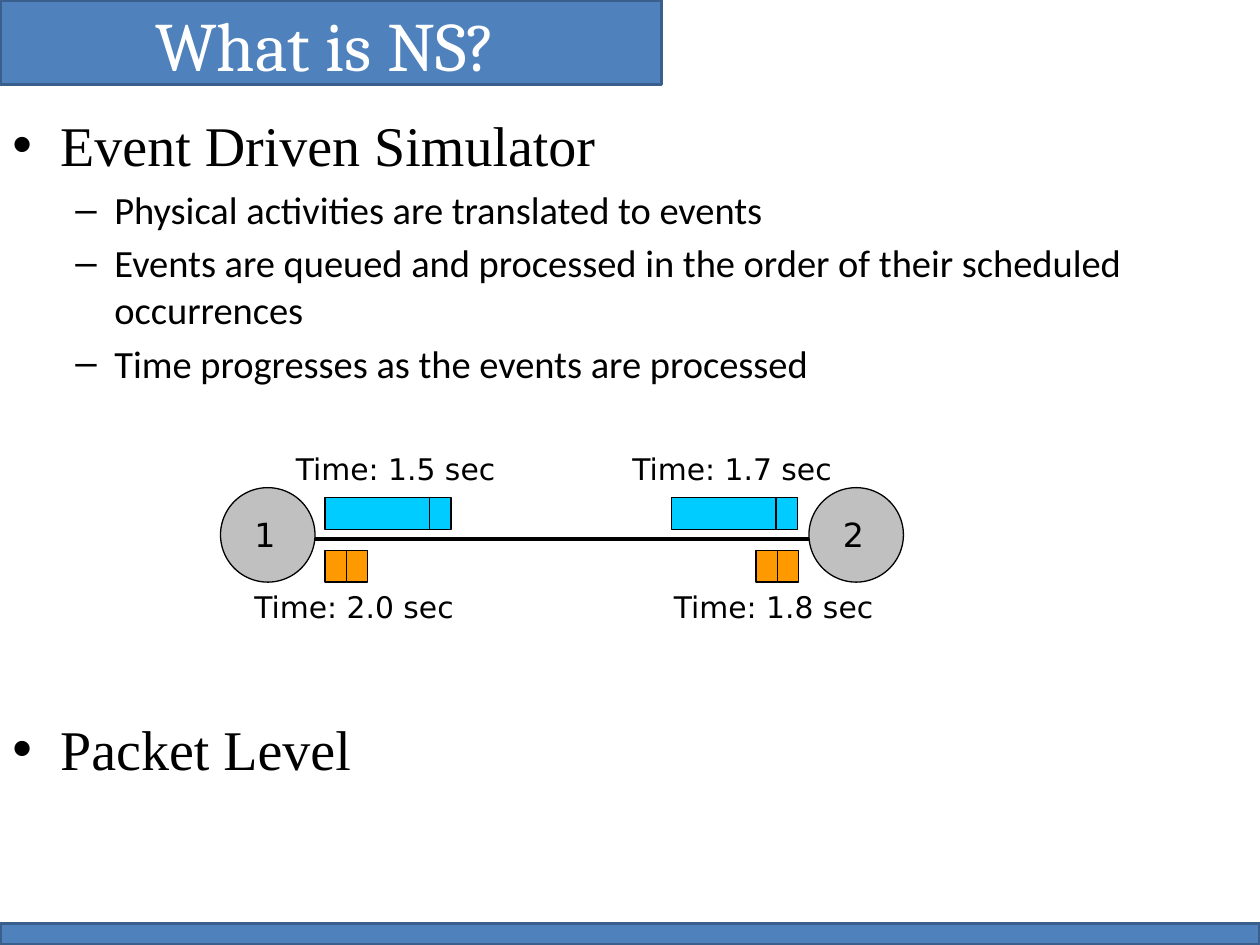
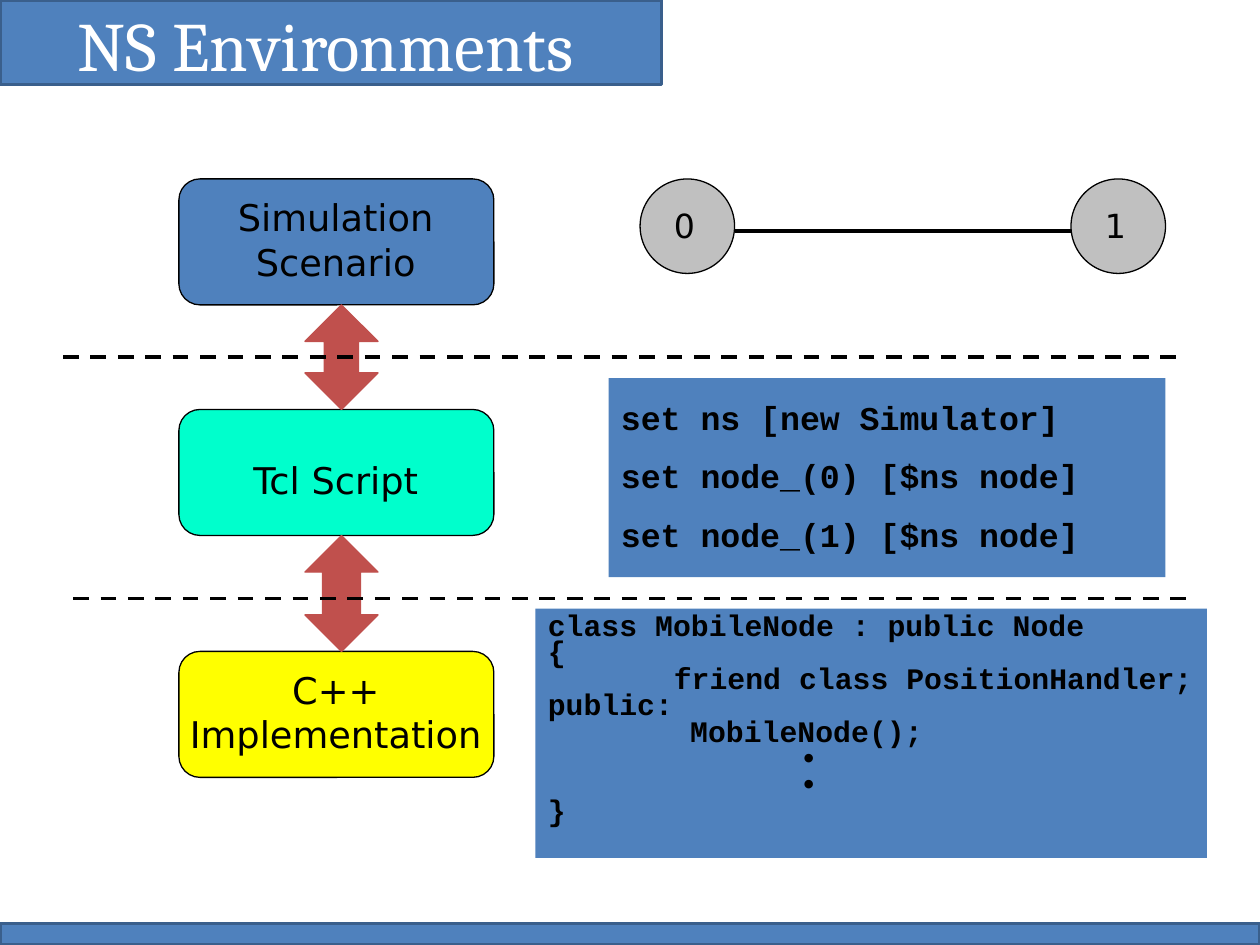
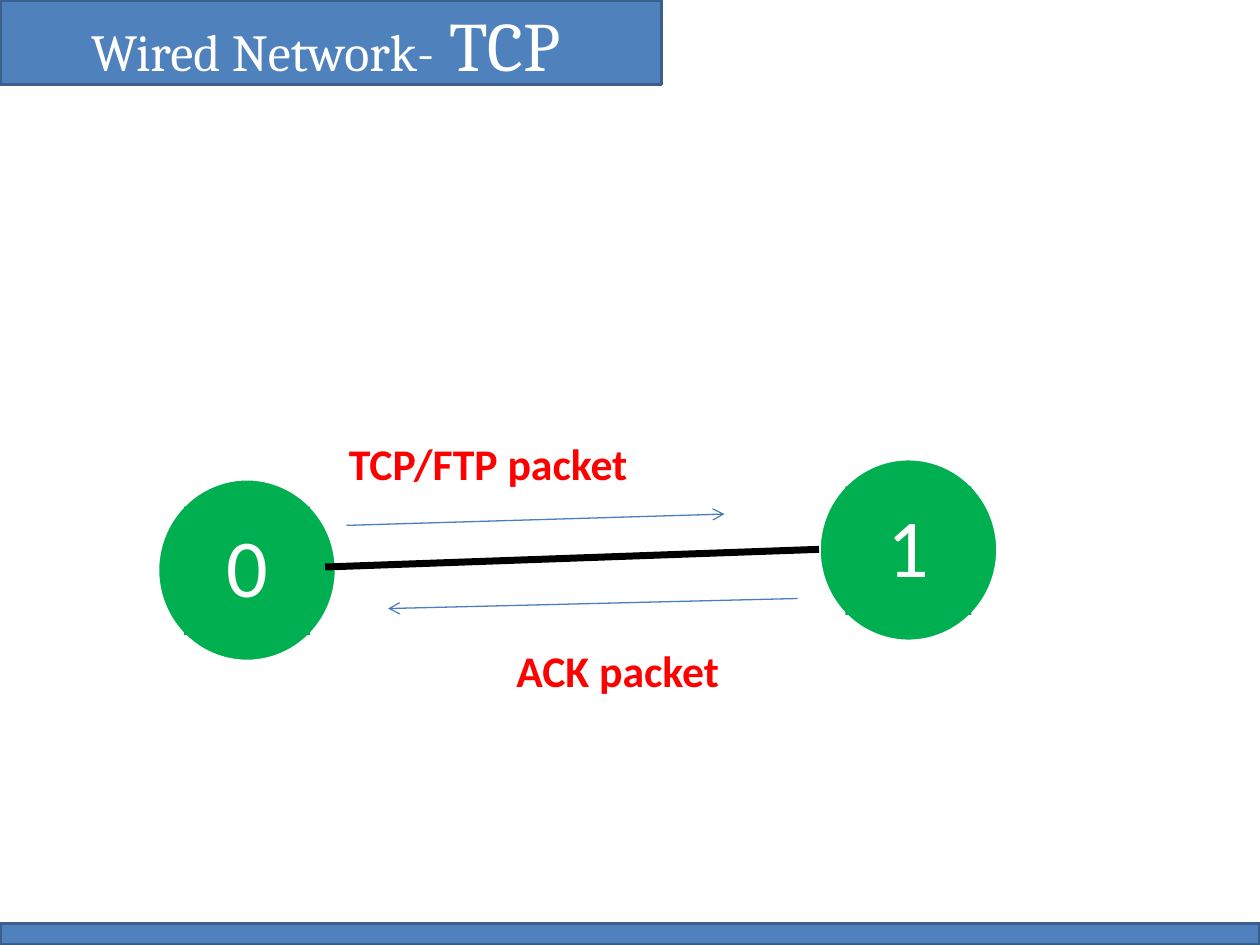
"""Builds three slides that introduce the NS network simulator."""
import pptx
import pptx.util
import pptx.dml.color
import pptx.enum.dml
import pptx.enum.shapes
import pptx.enum.text
import pptx.oxml.ns
import lxml.etree

Inches, Pt = pptx.util.Inches, pptx.util.Pt
SHAPE = pptx.enum.shapes.MSO_SHAPE
ALIGN = pptx.enum.text.PP_ALIGN
ANCHOR = pptx.enum.text.MSO_ANCHOR
qn = pptx.oxml.ns.qn

BLUE, EDGE, ARROW_BLUE, RED_BROWN = "4F81BD", "3A5F8C", "4B7EBC", "C0504D"
BLACK, WHITE, GREY, GREEN, RED = "000000", "FFFFFF", "C0C0C0", "00B050", "FF0000"
CYAN, ORANGE, MINT, YELLOW = "00CCFF", "FF9900", "00FFCC", "FFFF00"

TITLE = {"name": "Cambria", "size": 39.6, "color": WHITE}
TITLE_SMALL = {**TITLE, "size": 29.7}
TOPIC = {"name": "Times New Roman", "size": 32, "color": BLACK}
POINT = {"name": "Calibri", "size": 22, "color": BLACK}
LABEL = {"name": "DejaVu Sans", "size": 17, "color": BLACK}
NODE = {**LABEL, "size": 19}
LAYER = {**LABEL, "size": 21}
TCL = {"name": "Courier New", "size": 19, "color": BLACK, "bold": True}
CPP = {**TCL, "size": 17}
BIG_NODE = {"name": "Calibri", "size": 47, "color": WHITE}
FLOW = {"name": "Calibri", "size": 25, "color": RED, "bold": True}

TOPIC_PARA = {"bullet": "•", "margin": 0.38, "hang": 0.38}
POINT_PARA = {"bullet": "–", "margin": 0.81, "hang": 0.31, "space_before": 4.4}

BODY = [
    ("Event Driven Simulator", TOPIC, {**TOPIC_PARA, "space_before": 4}),
    ("Physical activities are translated to events", POINT, POINT_PARA),
    ("Events are queued and processed in the order of their scheduled occurrences",
     POINT, POINT_PARA),
    ("Time progresses as the events are processed", POINT, POINT_PARA),
    ("Packet Level", TOPIC, {**TOPIC_PARA, "space_before": 188}),
]
PACKETS = [
    ("Time: 1.5 sec", 2.25, 3.53, 2.58, 3.95, 0.83, CYAN),
    ("Time: 1.7 sec", 4.92, 3.53, 5.33, 3.95, 0.83, CYAN),
    ("Time: 1.8 sec", 5.25, 4.62, 6.0, 4.37, 0.17, ORANGE),
    ("Time: 2.0 sec", 1.92, 4.62, 2.58, 4.37, 0.17, ORANGE),
]
LAYERS = [
    ("Simulation Scenario", 1.42, BLUE, (1.58, 1.5, 2.17, 0.8)),
    ("Tcl Script", 3.25, MINT, (1.58, 3.58, 2.17, 0.45)),
    ("C++ Implementation", 5.17, YELLOW, (1.25, 5.25, 2.83, 0.8)),
]
TCL_LINES = ["set ns [new Simulator]", "set node_(0) [$ns node]", "set node_(1) [$ns node]"]
CPP_LINES = [
    ("class MobileNode : public Node", 0), ("{", 0),
    ("friend class PositionHandler;", 1), ("public:", 0),
    ("MobileNode();", 1.13), ("•", 2), ("•", 2), ("}", 0),
]
BIG_NODES = [("0", 1.25, 3.8), ("1", 6.5, 3.64)]
FLOWS = [
    ("TCP/FTP packet", (2.67, 3.42, 3.17, 0.52), (2.75, 4.17), (5.75, 4.08)),
    ("ACK packet", (4, 5.06, 2.92, 0.52), (6.33, 4.75), (3.08, 4.83)),
]


def rgb(color):
    return pptx.dml.color.RGBColor.from_string(color)


def inches(values):
    return [Inches(v) for v in values]


def add_run(p, text, style):
    r = p.add_run()
    r.text = text
    for key, value in style.items():
        if key == "color":
            r.font.color.rgb = rgb(value)
        else:
            setattr(r.font, key, Pt(value) if key == "size" else value)


def format_para(p, fmt):
    pPr = p._p.get_or_add_pPr()
    for key, value in fmt.items():
        if key == "margin":
            pPr.set("marL", str(Inches(value)))
        elif key == "hang":
            pPr.set("indent", str(-Inches(value)))
        elif key == "bullet":
            continue
        else:
            setattr(p, key, Pt(value) if key == "space_before" else value)
    if "bullet" in fmt:
        lxml.etree.SubElement(pPr, qn("a:buFont")).set("typeface", "Arial")
        lxml.etree.SubElement(pPr, qn("a:buChar")).set("char", fmt["bullet"])


def write(sp, paras, insets=(0.1, 0.05), anchor=ANCHOR.TOP):
    """Fill a shape with (text or runs, style, paragraph format) entries."""
    tf = sp.text_frame
    tf.word_wrap, tf.vertical_anchor = True, anchor
    tf.margin_left = tf.margin_right = Inches(insets[0])
    tf.margin_top = tf.margin_bottom = Inches(insets[1])
    for i, (text, style, fmt) in enumerate(paras):
        p = tf.add_paragraph() if i else tf.paragraphs[0]
        format_para(p, {"alignment": ALIGN.LEFT, **fmt})
        add_run(p, text, style)
    return tf


def add_text(s, at, paras, **frame):
    return write(s.shapes.add_textbox(*inches(at)), paras, **frame)


def add_shape(s, kind, at, fill, line=None, width=0.75, adj=()):
    sp = s.shapes.add_shape(kind, *inches(at))
    sp.shadow.inherit = False
    sp.fill.solid()
    sp.fill.fore_color.rgb = rgb(fill)
    if line:
        sp.line.color.rgb = rgb(line)
        sp.line.width = Pt(width)
    else:
        sp.line.fill.background()
    for i, value in enumerate(adj):
        sp.adjustments[i] = value
    return sp


def add_line(s, start, end, color=BLACK, width=2.25, dash=False, arrow=False):
    c = s.shapes.add_connector(pptx.enum.shapes.MSO_CONNECTOR.STRAIGHT,
                               *inches(start + end))
    c.line.color.rgb = rgb(color)
    c.line.width = Pt(width)
    if dash:
        c.line.dash_style = pptx.enum.dml.MSO_LINE.DASH
    if arrow:
        lxml.etree.SubElement(c.line._get_or_add_ln(), qn("a:tailEnd")).set("type", "arrow")
    lxml.etree.SubElement(c._element.spPr, qn("a:effectLst"))


def add_node(s, label, x, y, label_width):
    add_shape(s, SHAPE.OVAL, (x, y, 0.75, 0.75), GREY, BLACK)
    sp = add_shape(s, SHAPE.RECTANGLE, (x + 0.17, y + 0.16, label_width, 0.42), GREY)
    write(sp, [(label, NODE, {})])


def add_slide(prs, title_runs):
    s = prs.slides.add_slide(prs.slide_layouts[6])
    for band in ((0, 0, 5.25, 0.67), (0, 7.33, 10, 0.17)):
        add_shape(s, SHAPE.RECTANGLE, band, BLUE, EDGE, 2)
    (text, style), *rest = title_runs
    tf = add_text(s, (0, 0, 5.17, 0.58), [(text, style, {"alignment": ALIGN.CENTER})],
                  insets=(0.1, 0.02))
    for text, style in rest:
        add_run(tf.paragraphs[0], text, style)
    return s


def simulator_slide(prs):
    s = add_slide(prs, [("What is NS?", TITLE)])
    add_text(s, (0, 0.83, 10, 6.33), BODY)
    add_node(s, "1", 1.75, 3.87, 0.33)
    add_node(s, "2", 6.42, 3.87, 0.42)
    add_line(s, (2.5, 4.28), (6.42, 4.28))
    for label, label_x, label_y, x, y, length, color in PACKETS:
        for left, width in ((x, length), (x + length, 0.17)):
            add_shape(s, SHAPE.RECTANGLE, (left, y, width, 0.25), color, BLACK)
        add_text(s, (label_x, label_y, 1.83, 0.38), [(label, LABEL, {})])


def environments_slide(prs):
    s = add_slide(prs, [("NS Environments", TITLE)])
    for label, y, color, label_at in LAYERS:
        add_shape(s, SHAPE.ROUNDED_RECTANGLE, (1.42, y, 2.5, 1), color, BLACK, adj=[0.167])
        add_text(s, label_at, [(label, LAYER, {"alignment": ALIGN.CENTER})])
    for y, height, head in ((4.25, 0.92, 0.52), (2.42, 0.83, 0.47)):
        add_shape(s, SHAPE.UP_DOWN_ARROW, (2.42, y, 0.58, height), RED_BROWN, RED_BROWN,
                  adj=[0.47, head])
    add_node(s, "0", 5.08, 1.42, 0.33)
    add_node(s, "1", 8.5, 1.42, 0.42)
    add_line(s, (5.83, 1.83), (8.5, 1.83))
    tcl = [(text, TCL, {"space_before": 10.8 if i else 3})
           for i, text in enumerate(TCL_LINES)]
    cpp = [(text, CPP, {"space_before": 9 if i else 3, "line_spacing": 0.3, "margin": margin})
           for i, (text, margin) in enumerate(CPP_LINES)]
    for at, paras in (((4.83, 3, 4.42, 1.58), tcl), ((4.25, 4.83, 5.33, 1.98), cpp)):
        write(add_shape(s, SHAPE.RECTANGLE, at, BLUE), paras, insets=(0.1, 0.15))
    for x, y in ((0.5, 2.83), (0.58, 4.75)):
        add_line(s, (x, y), (x + 8.83, y), dash=True)


def wired_slide(prs):
    s = add_slide(prs, [("Wired Network-", TITLE_SMALL), (" TCP", TITLE)])
    for label, x, y in BIG_NODES:
        add_shape(s, SHAPE.OVAL, (x, y, 1.42, 1.45), GREEN, WHITE, 2)
        sp = add_shape(s, SHAPE.RECTANGLE, (x + 0.21, y + 0.22, 1, 1.02), GREEN)
        write(sp, [(label, BIG_NODE, {"alignment": ALIGN.CENTER, "line_spacing": 0.9})],
              insets=(0.07, 0.07), anchor=ANCHOR.MIDDLE)
    add_line(s, (2.58, 4.5), (6.5, 4.36), width=4)
    for label, at, start, end in FLOWS:
        add_line(s, start, end, ARROW_BLUE, 0.75, arrow=True)
        add_text(s, at, [(label, FLOW, {})])


def main():
    prs = pptx.Presentation()
    prs.slide_width, prs.slide_height = Inches(10), Inches(7.5)
    for build in (simulator_slide, environments_slide, wired_slide):
        build(prs)
    prs.save("out.pptx")


if __name__ == "__main__":
    main()
